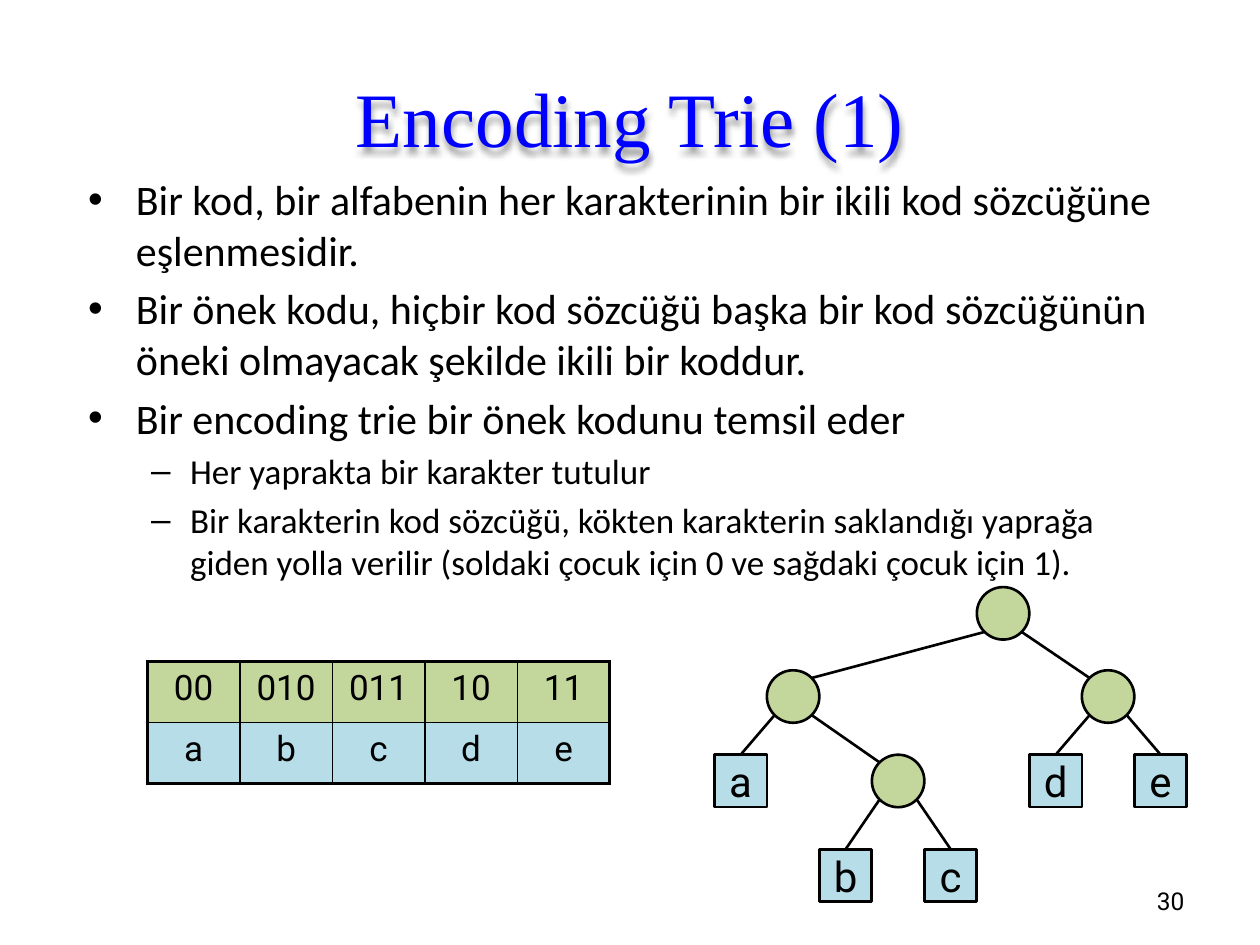
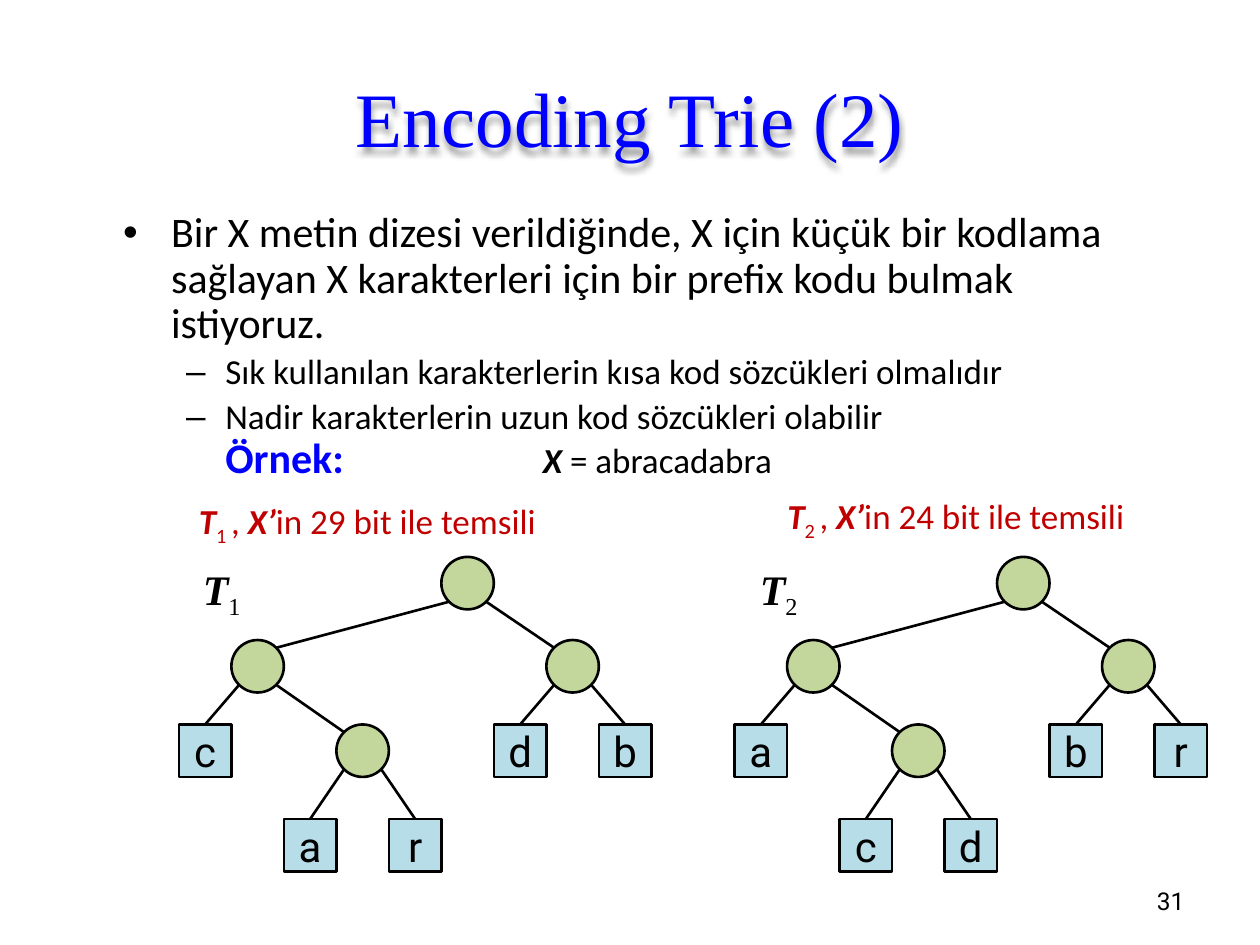
from lxml.etree import SubElement
from pptx import Presentation
from pptx.dml.color import RGBColor
from pptx.enum.shapes import MSO_CONNECTOR, MSO_SHAPE
from pptx.enum.text import MSO_ANCHOR, PP_ALIGN
from pptx.oxml import parse_xml
from pptx.oxml.ns import nsdecls, qn
from pptx.util import Inches, Pt

BLACK = RGBColor(0, 0, 0)
BLUE = RGBColor(0, 0, 255)
RED = RGBColor(0xC0, 0, 0)
GREEN = RGBColor(0xC3, 0xD6, 0x9B)
AQUA = RGBColor(0xB7, 0xDE, 0xE8)
SERIF, SANS, MONO = "Times New Roman", "Calibri", "Roboto"

# Content: a paragraph is (level, runs); a run is (text, changes of format)
BOLD = {"bold": True, "italic": True}
FIRST = 30
CODES = [["00", "010", "011", "10", "11"], list("abcde")]
SLIDES = [
    {"title": "Encoding Trie (1)",
     "box": (0.6, 1.33, 8.75, 3.25), "pitch": 1.0,
     "body": [
         (0, [("Bir kod, bir alfabenin her karakterinin bir ikili kod "
               "sözcüğüne eşlenmesidir.", {})]),
         (0, [("Bir önek kodu, hiçbir kod sözcüğü başka bir kod sözcüğünün "
               "öneki olmayacak şekilde ikili bir koddur.", {})]),
         (0, [("Bir encoding trie bir önek kodunu temsil eder", {})]),
         (1, [("Her yaprakta bir karakter tutulur", {})]),
         (1, [("Bir karakterin kod sözcüğü, kökten karakterin saklandığı "
               "yaprağa giden yolla verilir (soldaki çocuk için 0 ve "
               "sağdaki çocuk için 1).", {})])],
     "table": (1.17, 5.25), "tries": [("abcde", 5.67, 4.66)]},
    {"title": "Encoding Trie (2)",
     "box": (0.88, 1.63, 8.5, 2.25), "pitch": 0.9,
     "body": [
         (0, [("Bir X metin dizesi verildiğinde, X için küçük bir kodlama "
               "sağlayan X karakterleri için bir prefix kodu bulmak "
               "istiyoruz.", {})]),
         (1, [("Sık kullanılan karakterlerin kısa kod sözcükleri olmalıdır",
               {})]),
         (1, [("Nadir karakterlerin uzun kod sözcükleri olabilir", {}),
              ("\n", {}),
              ("Örnek:", {"size": 24, "color": BLUE, "bold": True}),
              ("\t", {}), ("X ", BOLD), ("= abracadabra", {})])],
     "tries": [("cardb", 1.42, 4.42), ("acdbr", 5.83, 4.42)],
     "names": [("1", 1.5, 4.42), ("2", 5.92, 4.42)],
     "notes": [("1", "29", 1.48, 3.92, 3.41), ("2", "24", 6.15, 3.88, 3)]},
]

# Trie: each part is (column, row), columns in order from the left
UNIT = 5 / 12
ROWS = [0, 0.66, 1.33, 2.08]
NODES = {"root": (5, 0), "left": (1, 1), "right": (7, 1), "inner": (3, 2)}
LEAVES = [(0, 2), (2, 3), (4, 3), (6, 2), (8, 2)]
EDGES = [("root", "left"), ("root", "right"), ("left", "inner"),
         ("left", 0), ("inner", 1), ("inner", 2), ("right", 3), ("right", 4)]

# Bullet levels: mark, text size, left edge, hanging indent
LEVELS = [("•", 24, 0.38, 0.38), ("–", 20, 0.81, 0.31)]
TAB = 3.33


def inches(*nums):
    return [Inches(n) for n in nums]


def write(para, runs, **base):
    for text, extra in runs:
        if text == "\n":
            para.add_line_break()
            continue
        form = {"size": 24, "name": SANS, "color": BLACK} | base | extra
        run = para.add_run()
        run.text = text
        run.font.color.rgb = form.pop("color")
        if form.pop("sub", False):
            run._r.get_or_add_rPr().set("baseline", "-25000")
        form["size"] = Pt(form["size"])
        for key, val in form.items():
            setattr(run.font, key, val)


def label(slide, box, runs, align=PP_ALIGN.LEFT, wrap=True,
          anchor=MSO_ANCHOR.TOP, **base):
    frame = slide.shapes.add_textbox(*inches(*box)).text_frame
    frame.word_wrap, frame.vertical_anchor = wrap, anchor
    para = frame.paragraphs[0]
    para.alignment = align
    write(para, runs, **base)
    return para


def head(slide, text):
    """Place the title and give its letters a soft shadow."""
    title = slide.shapes.title
    title.left, title.top, title.width, title.height = inches(0.5, 0.3, 9, 1.25)
    title.text_frame.vertical_anchor = MSO_ANCHOR.MIDDLE
    para = title.text_frame.paragraphs[0]
    para.alignment = PP_ALIGN.CENTER
    write(para, [(text, {})], size=44, name=SERIF, color=BLUE)
    title._element.spPr.append(parse_xml(
        f'<a:effectLst {nsdecls("a")}><a:outerShdw blurRad="50800" '
        'dist="38100" dir="5400000"><a:srgbClr val="000000">'
        '<a:alpha val="40000"/></a:srgbClr></a:outerShdw></a:effectLst>'))


def bullets(slide, box, body, pitch):
    frame = slide.shapes.add_textbox(*inches(*box)).text_frame
    frame.word_wrap = True
    for num, (level, runs) in enumerate(body):
        para = frame.add_paragraph() if num else frame.paragraphs[0]
        mark, size, left, hang = LEVELS[level]
        para.level, para.line_spacing = level, pitch
        para.space_before = Pt(size * 0.2)
        props = para._p.get_or_add_pPr()
        props.set("marL", str(Inches(left)))
        props.set("indent", str(-Inches(hang)))
        SubElement(props, qn("a:buFont")).set("typeface", "Arial")
        SubElement(props, qn("a:buChar")).set("char", mark)
        if any(text == "\t" for text, _ in runs):
            stop = SubElement(SubElement(props, qn("a:tabLst")), qn("a:tab"))
            stop.set("pos", str(Inches(TAB)))
            stop.set("algn", "l")
        write(para, runs, size=size)


def trie(slide, letters, left, top):
    group = slide.shapes.add_group_shape().shapes

    def spot(col, row):
        return left + col * UNIT, top + ROWS[row]

    def part(kind, place, fill):
        shape = group.add_shape(kind, *inches(*spot(*place), UNIT, UNIT))
        shape.shadow.inherit = False
        shape.fill.solid()
        shape.fill.fore_color.rgb = fill
        shape.line.color.rgb, shape.line.width = BLACK, Pt(1.5)
        return shape

    def rim(name, side, low):
        """Point on a circle's diagonal; side and low are -1 or 1."""
        x, y = spot(*NODES[name])
        reach = UNIT / 2 * 0.5 ** 0.5
        return inches(x + UNIT / 2 + side * reach, y + UNIT / 2 + low * reach)

    for place in NODES.values():
        part(MSO_SHAPE.OVAL, place, GREEN)
    leaves = []
    for letter, place in zip(letters, LEAVES):
        leaf = part(MSO_SHAPE.RECTANGLE, place, AQUA)
        frame = leaf.text_frame
        frame.word_wrap, frame.vertical_anchor = False, MSO_ANCHOR.MIDDLE
        frame.paragraphs[0].alignment = PP_ALIGN.CENTER
        write(frame.paragraphs[0], [(letter, {})], name=MONO)
        leaves.append(leaf)
    for above, below in EDGES:
        inner = below in NODES
        col = (NODES[below] if inner else LEAVES[below])[0]
        side = 1 if col > NODES[above][0] else -1
        start = rim(above, side, 1)
        end = rim(below, -side, -1) if inner else start
        edge = group.add_connector(MSO_CONNECTOR.STRAIGHT, *start, *end)
        if not inner:
            edge.end_connect(leaves[below], 0)
        edge.line.color.rgb, edge.line.width = BLACK, Pt(1.5)
        SubElement(edge._element.spPr, qn("a:effectLst"))


def border(cell, widths):
    props = cell._tc.get_or_add_tcPr()
    for num, (side, width) in enumerate(widths.items()):
        props.insert(num, parse_xml(
            f'<a:{side} {nsdecls("a")} w="{Pt(width)}"><a:solidFill>'
            f'<a:srgbClr val="{BLACK}"/></a:solidFill></a:{side}>'))


def codes(slide, left, top):
    rows, cols = len(CODES), len(CODES[0])
    table = slide.shapes.add_table(
        rows, cols, *inches(left, top, 3.67, 0.97)).table
    for row, (texts, fill) in enumerate(zip(CODES, (GREEN, AQUA))):
        for col, text in enumerate(texts):
            cell = table.cell(row, col)
            cell.fill.solid()
            cell.fill.fore_color.rgb = fill
            para = cell.text_frame.paragraphs[0]
            para.alignment, para.space_before = PP_ALIGN.CENTER, Pt(4)
            write(para, [(text, {})], size=20, name=MONO)
            outer = {"lnL": col == 0, "lnR": col == cols - 1,
                     "lnT": row == 0, "lnB": row == rows - 1}
            border(cell, {k: 2.25 if out else 1 for k, out in outer.items()})


def main():
    deck = Presentation()
    deck.slide_width, deck.slide_height = inches(10, 7.5)
    for num, data in enumerate(SLIDES, FIRST):
        slide = deck.slides.add_slide(deck.slide_layouts[5])
        head(slide, data["title"])
        bullets(slide, data["box"], data["body"], data["pitch"])
        label(slide, (7.17, 6.95, 2.33, 0.4), [(str(num), {})],
              PP_ALIGN.RIGHT, anchor=MSO_ANCHOR.MIDDLE, size=14, name=MONO)
        for item in data["tries"]:
            trie(slide, *item)
        if "table" in data:
            codes(slide, *data["table"])
        for sub, left, top in data.get("names", []):
            label(slide, (left, top, 0.52, 0.5),
                  [("T", BOLD), (sub, {"sub": True})],
                  PP_ALIGN.CENTER, wrap=False, name=SERIF)
        for sub, bits, left, top, width in data.get("notes", []):
            para = label(slide, (left, top, width, 0.4), [
                ("T", BOLD), (sub + " ", {"sub": True}), (", ", {}),
                ("X’", BOLD), (f"in {bits} bit ile temsili", {})],
                size=20, color=RED)
            para.line_spacing, para.space_before = 0.9, Pt(4)
    deck.save("out.pptx")


if __name__ == "__main__":
    main()
